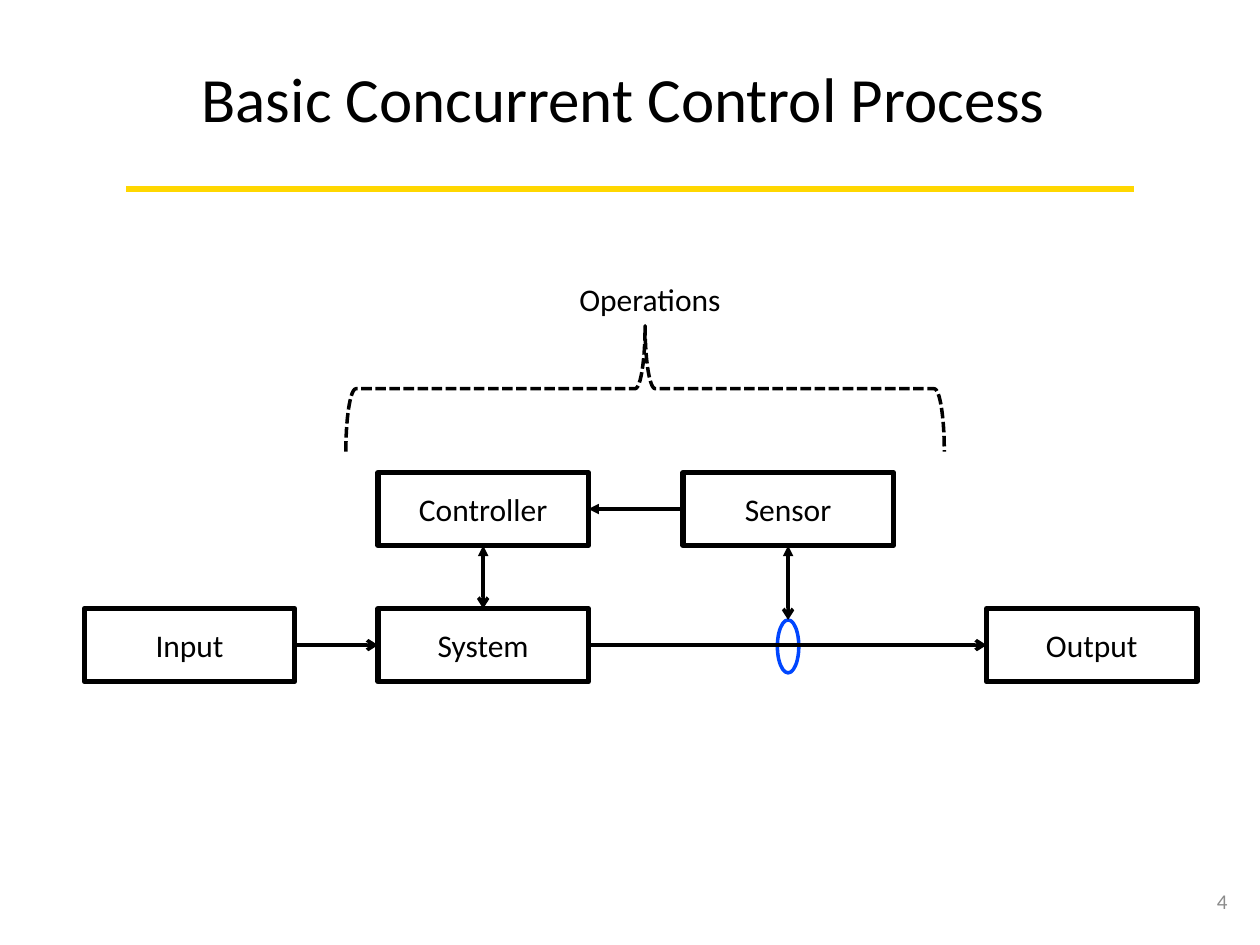
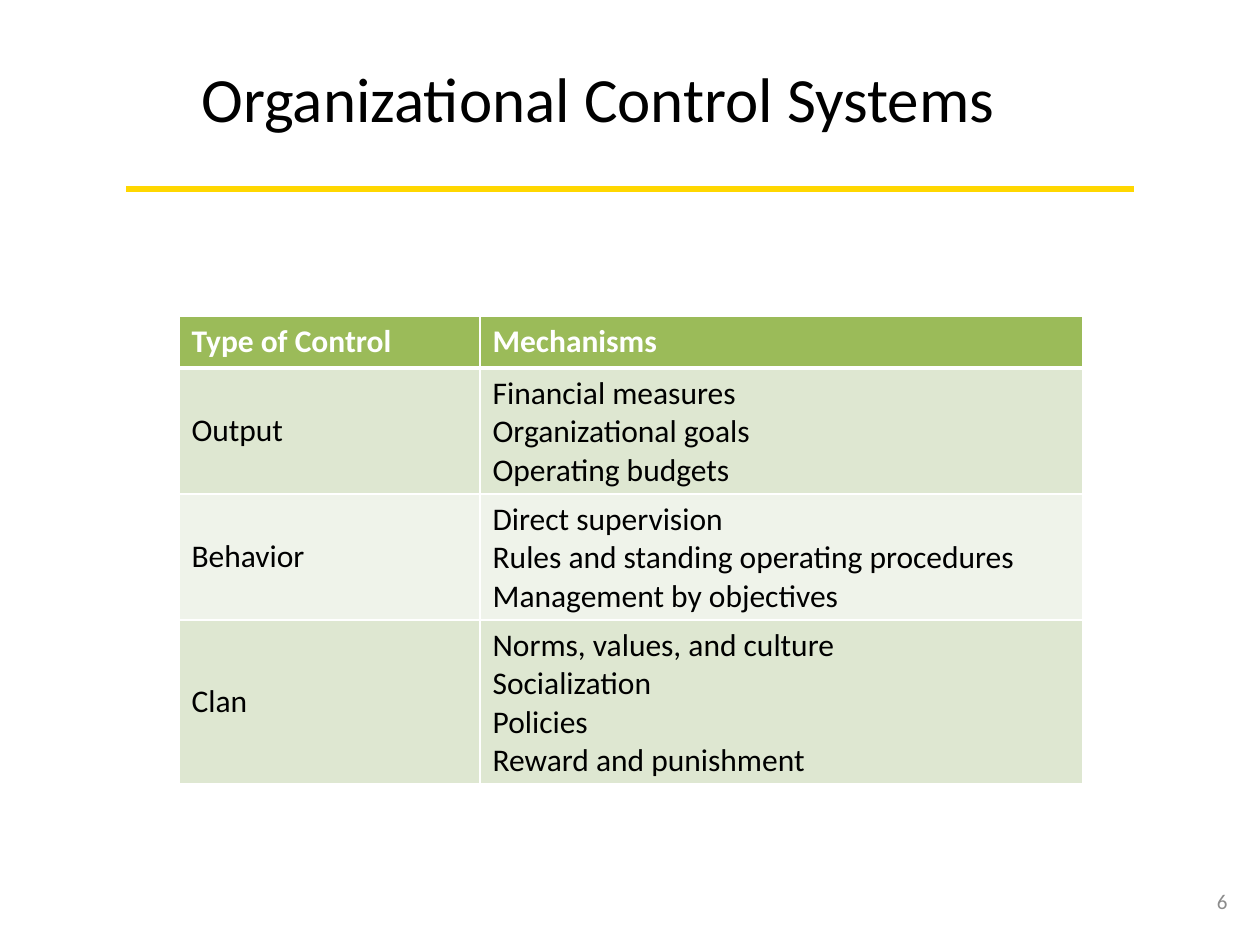
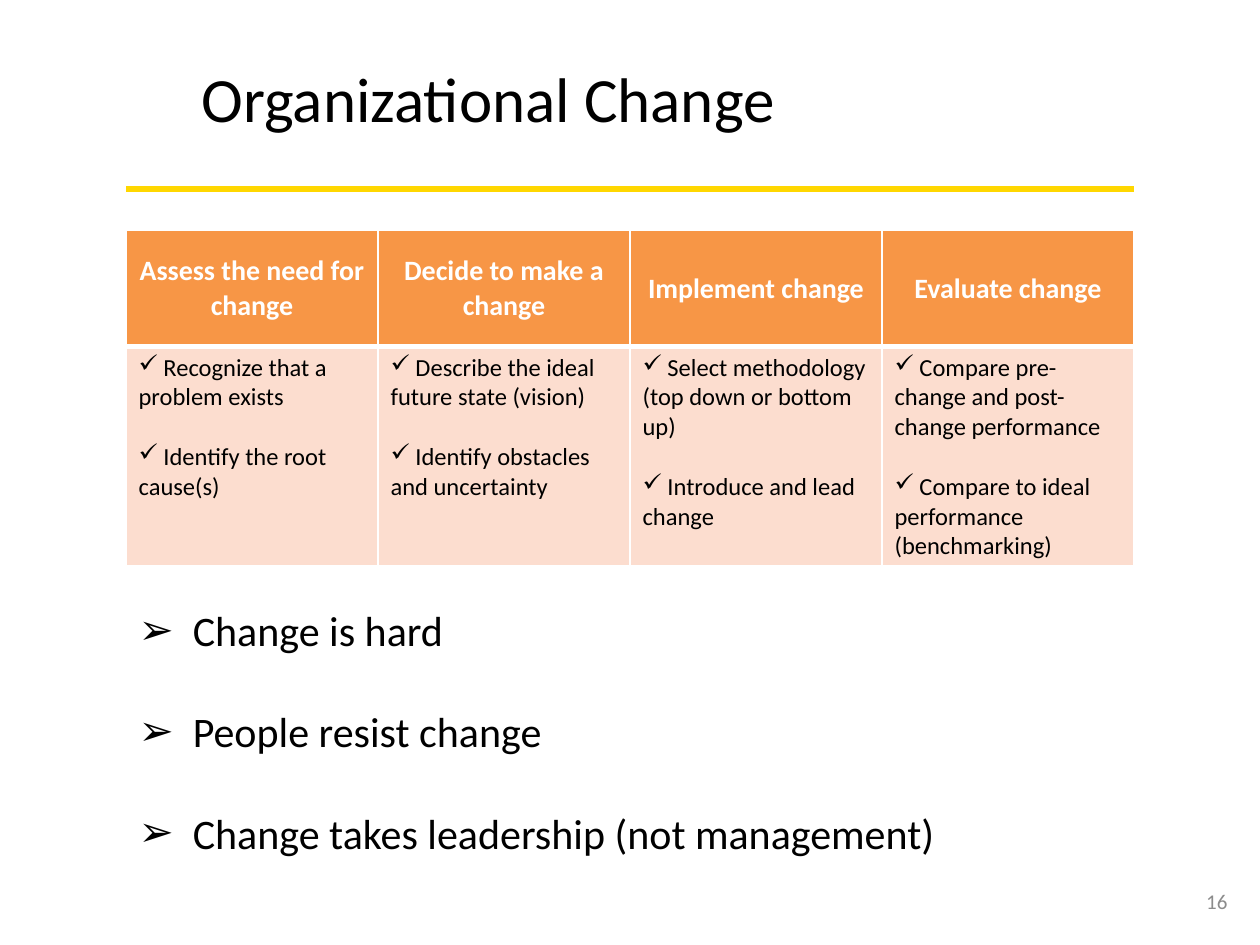
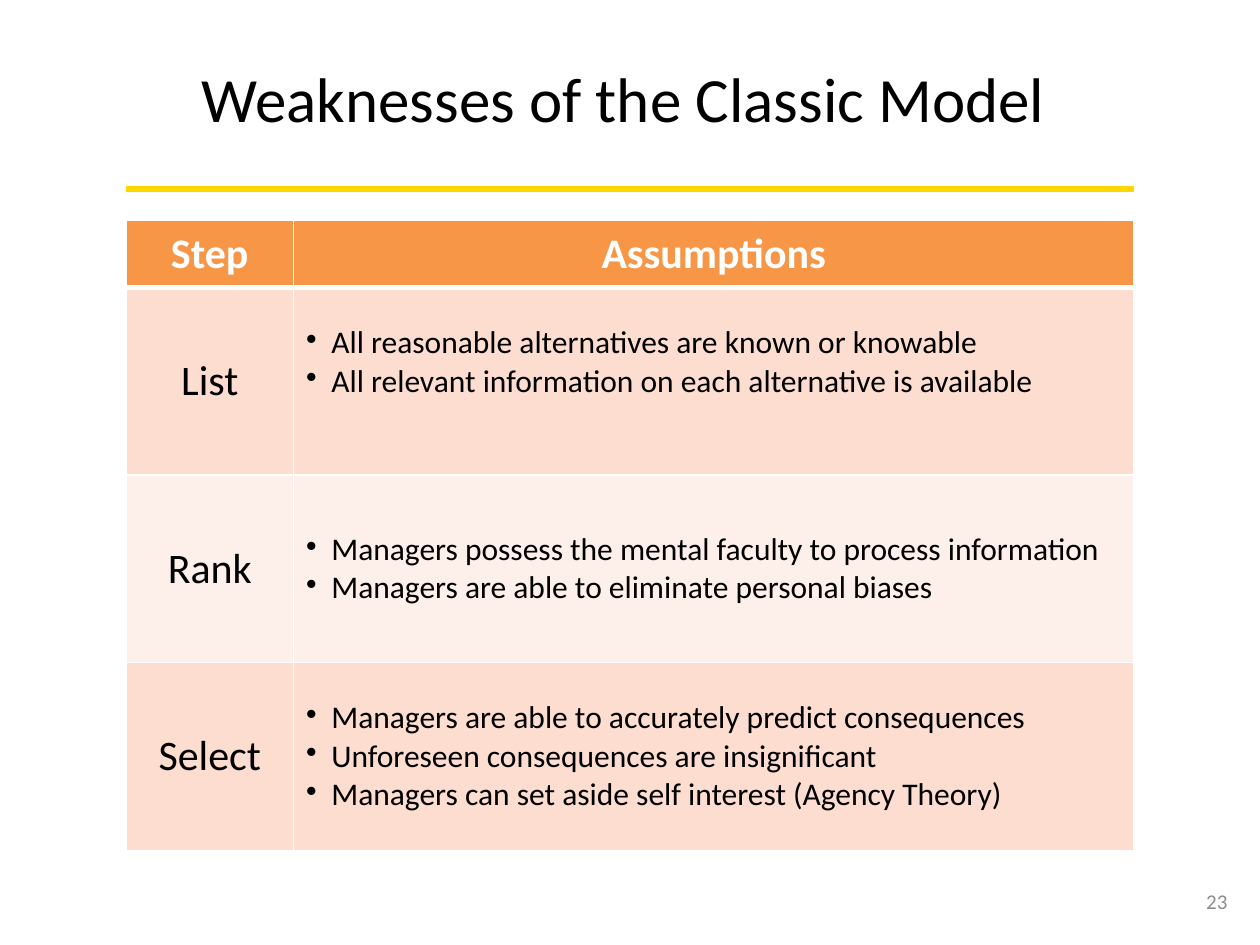
from lxml.etree import SubElement
from pptx import Presentation
from pptx.dml.color import RGBColor
from pptx.enum.dml import MSO_LINE
from pptx.enum.shapes import MSO_CONNECTOR, MSO_SHAPE
from pptx.enum.text import MSO_ANCHOR, MSO_AUTO_SIZE, PP_ALIGN
from pptx.oxml.ns import qn
from pptx.util import Inches, Pt

FONT = "Calibri"
BLACK = RGBColor(0x00, 0x00, 0x00)
WHITE = RGBColor(0xFF, 0xFF, 0xFF)
GRAY = RGBColor(0x8C, 0x8C, 0x8C)
GOLD = RGBColor(0xFF, 0xD7, 0x00)
BLUE = RGBColor(0x00, 0x46, 0xFF)
# Header, odd row and even row fills
GREENS = (RGBColor(0x9B, 0xBB, 0x59), RGBColor(0xDE, 0xE7, 0xD1),
          RGBColor(0xEF, 0xF3, 0xEA))
ORANGES = (RGBColor(0xF7, 0x96, 0x46), RGBColor(0xFC, 0xDD, 0xCF),
           RGBColor(0xFD, 0xEF, 0xE9))
TOP, LEFT, BOTTOM, RIGHT = range(4)  # connection sites of a rectangle


def inches(*sizes):
    return [Inches(size) for size in sizes]


def write(frame, lines, size, color=BLACK, bold=False, align=PP_ALIGN.LEFT,
          mark=None, hang=0, gap=0):
    """Fill a text frame, one paragraph a line, gap points apart."""
    for i, line in enumerate(lines):
        par = frame.add_paragraph() if i else frame.paragraphs[0]
        par.alignment = align
        par.space_before = Pt(gap if i else 0)
        if mark:
            props = par._p.get_or_add_pPr()
            props.set("marL", str(Inches(hang)))
            props.set("indent", str(-Inches(hang)))
            SubElement(props, qn("a:buChar"), char=mark)
        run = par.add_run()
        run.text = line
        font = run.font
        font.name, font.size, font.bold = FONT, Pt(size), bold
        font.color.rgb = color


def link(slide, color, width):
    """Add a straight line without shadow."""
    line = slide.shapes.add_connector(MSO_CONNECTOR.STRAIGHT, 0, 0, 0, 0)
    line.line.color.rgb = color
    line.line.width = Pt(width)
    SubElement(line.element.spPr, qn("a:effectLst"))
    return line


def arrow(slide, start, site, end, goal, head=None, tail=None):
    line = link(slide, BLACK, 2)
    line.begin_connect(start, site)
    line.end_connect(end, goal)
    stroke = line.element.spPr.find(qn("a:ln"))
    for tag, kind in (("a:headEnd", head), ("a:tailEnd", tail)):
        if kind:
            SubElement(stroke, qn(tag), type=kind)


def outline(slide, kind, box, color, width):
    shape = slide.shapes.add_shape(kind, *inches(*box))
    shape.shadow.inherit = False
    shape.fill.background()
    shape.line.color.rgb = color
    shape.line.width = Pt(width)
    return shape


def label(slide, box, text, size, wrap=True, **style):
    frame = slide.shapes.add_textbox(*inches(*box)).text_frame
    frame.word_wrap = wrap
    write(frame, [text], size, **style)
    return frame


def place(holder, box):
    """Move a placeholder and give back its text frame."""
    holder.left, holder.top, holder.width, holder.height = inches(*box)
    frame = holder.text_frame
    frame.auto_size = MSO_AUTO_SIZE.NONE
    frame.word_wrap = True
    frame.vertical_anchor = MSO_ANCHOR.TOP
    return frame


def start(deck, title, number, layout=5):
    slide = deck.slides.add_slide(deck.slide_layouts[layout])
    write(place(slide.shapes.title, (1.5, 0.42, 7.3, 0.71)), [title], 36)
    frame = label(slide, (9.42, 6.95, 0.42, 0.4), str(number), 12,
                  color=GRAY, align=PP_ALIGN.RIGHT)
    frame.vertical_anchor = MSO_ANCHOR.MIDDLE
    return slide


def rule(deck, slide):
    """Draw the gold rule and hand it to the master, so all slides show it."""
    line = link(slide, GOLD, 4)
    line.begin_x, line.begin_y, line.end_x, line.end_y = inches(1, 1.5, 9, 1.5)
    deck.slide_master.element.cSld.spTree.append(line.element)


def paint(cell, row, tints):
    """Give a cell its borders, heavy under the header, and its fill."""
    props = cell._tc.get_or_add_tcPr()
    heavy = {0: "B", 1: "T"}.get(row)
    for side in "LRTB":
        width = Pt(3 if side == heavy else 1)
        edge = SubElement(props, qn("a:ln" + side), w=str(width))
        fill = SubElement(edge, qn("a:solidFill"))
        SubElement(fill, qn("a:srgbClr"), val=str(WHITE))
    cell.fill.solid()
    cell.fill.fore_color.rgb = tints[0 if row == 0 else 2 - row % 2]


def grid(slide, at, cols, rows, data, tints, head, styles,
         anchor=MSO_ANCHOR.MIDDLE):
    """Add a table: head styles the first row, styles the columns below it."""
    table = slide.shapes.add_table(
        len(rows), len(cols), *inches(*at, sum(cols), sum(rows))).table
    for col, width in zip(table.columns, cols):
        col.width = Inches(width)
    for r, (height, texts) in enumerate(zip(rows, data)):
        table.rows[r].height = Inches(height)
        for c, lines in enumerate(texts):
            cell = table.cell(r, c)
            paint(cell, r, tints)
            cell.vertical_anchor = anchor if r else MSO_ANCHOR.MIDDLE
            style = styles[c] if r else dict(head, color=WHITE, bold=True)
            write(cell.text_frame, lines, **style)
    return table


def flow(slide, left, top):
    """Draw the control loop from its top left corner."""
    wide, high = 1.67, 0.58
    upper, lower = top + 1.58, top + 2.66
    spots = {
        "Input": (0, lower), "System": (2.33, lower), "Output": (7.16, lower),
        "Controller": (2.33, upper), "Sensor": (4.75, upper),
    }
    nodes = {}
    for name, (x, y) in spots.items():
        node = outline(slide, MSO_SHAPE.RECTANGLE,
                       (left + x, y, wide, high), BLACK, 3)
        node.text_frame.vertical_anchor = MSO_ANCHOR.MIDDLE
        write(node.text_frame, [name], 18, align=PP_ALIGN.CENTER)
        nodes[name] = node
    probe = outline(slide, MSO_SHAPE.OVAL,
                    (left + 5.5, top + 2.75, 0.17, 0.42), BLUE, 2)
    control, sensor = nodes["Controller"], nodes["Sensor"]
    system = nodes["System"]
    arrow(slide, control, BOTTOM, system, TOP, "triangle", "arrow")
    arrow(slide, control, RIGHT, sensor, LEFT, "triangle")
    arrow(slide, nodes["Input"], RIGHT, system, LEFT, tail="arrow")
    arrow(slide, system, RIGHT, nodes["Output"], LEFT, tail="arrow")
    arrow(slide, sensor, BOTTOM, probe, TOP, "triangle", "arrow")

    brace = outline(slide, MSO_SHAPE.RIGHT_BRACE,
                    (left + 3.95, top - 1.46, 1, 4.75), BLACK, 2)
    brace.rotation = 270
    brace.adjustments[0], brace.adjustments[1] = 0.08, 0.5
    brace.line.dash_style = MSO_LINE.SQUARE_DOT
    label(slide, (left + 3.83, top, 1.34, 0.4), "Operations", 18, wrap=False)


def process(deck):
    slide = start(deck, "Basic Concurrent Control Process", 4)
    rule(deck, slide)
    flow(slide, 0.67, 2.17)


def systems(deck):
    slide = start(deck, "Organizational Control Systems", 6)
    data = [
        (["Type of Control"], ["Mechanisms"]),
        (["Output"], ["Financial measures", "Organizational goals",
                      "Operating budgets"]),
        (["Behavior"], ["Direct supervision",
                        "Rules and standing operating procedures",
                        "Management by objectives"]),
        (["Clan"], ["Norms, values, and culture", "Socialization",
                    "Policies", "Reward and punishment"]),
    ]
    plain = dict(size=18)
    grid(slide, (1.42, 2.51), (2.39, 4.78), (0.41, 1, 1, 1.3), data, GREENS,
         plain, [plain] * 2)


def change(deck):
    slide = start(deck, "Organizational Change", 16, layout=1)
    data = [
        (["Assess the need for change"], ["Decide to make a change"],
         ["Implement change"], ["Evaluate change"]),
        ([" Recognize that a problem exists", " Identify the root cause(s)"],
         [" Describe the ideal future state (vision)",
          " Identify obstacles and uncertainty"],
         [" Select methodology (top down or bottom up)",
          " Introduce and lead change"],
         [" Compare pre-change and post-change performance",
          " Compare to ideal performance (benchmarking)"]),
    ]
    checks = dict(size=14, mark="✓", gap=17)
    grid(slide, (1, 1.83), [2] * 4, (0.92, 1.73), data, ORANGES,
         dict(size=16, align=PP_ALIGN.CENTER), [checks] * 4, MSO_ANCHOR.TOP)
    points = ["Change is hard", "People resist change",
              "Change takes leadership (not management)"]
    write(place(slide.placeholders[1], (1, 4.75, 7, 2.12)), points, 24,
          mark="➢", hang=0.43, gap=29)


def model(deck):
    slide = start(deck, "Weaknesses of the Classic Model", 23)
    data = [
        (["Step"], ["Assumptions"]),
        (["List"],
         ["All reasonable alternatives are known or knowable",
          "All relevant information on each alternative is available"]),
        (["Rank"],
         ["Managers possess the mental faculty to process information",
          "Managers are able to eliminate personal biases"]),
        (["Select"],
         ["Managers are able to accurately predict consequences",
          "Unforeseen consequences are insignificant",
          "Managers can set aside self interest (Agency Theory)"]),
    ]
    step = dict(size=24, align=PP_ALIGN.CENTER)
    table = grid(slide, (1, 1.75), (1.33, 6.67), (0.53, 1.49, 1.49, 1.49),
                 data, ORANGES, step, [step, dict(size=18, mark="•", hang=0.2)])
    table.cell(1, 1).margin_bottom = Inches(0.35)


def main():
    deck = Presentation()
    deck.slide_width, deck.slide_height = inches(10, 7.5)
    for build in (process, systems, change, model):
        build(deck)
    deck.save("out.pptx")


if __name__ == "__main__":
    main()
